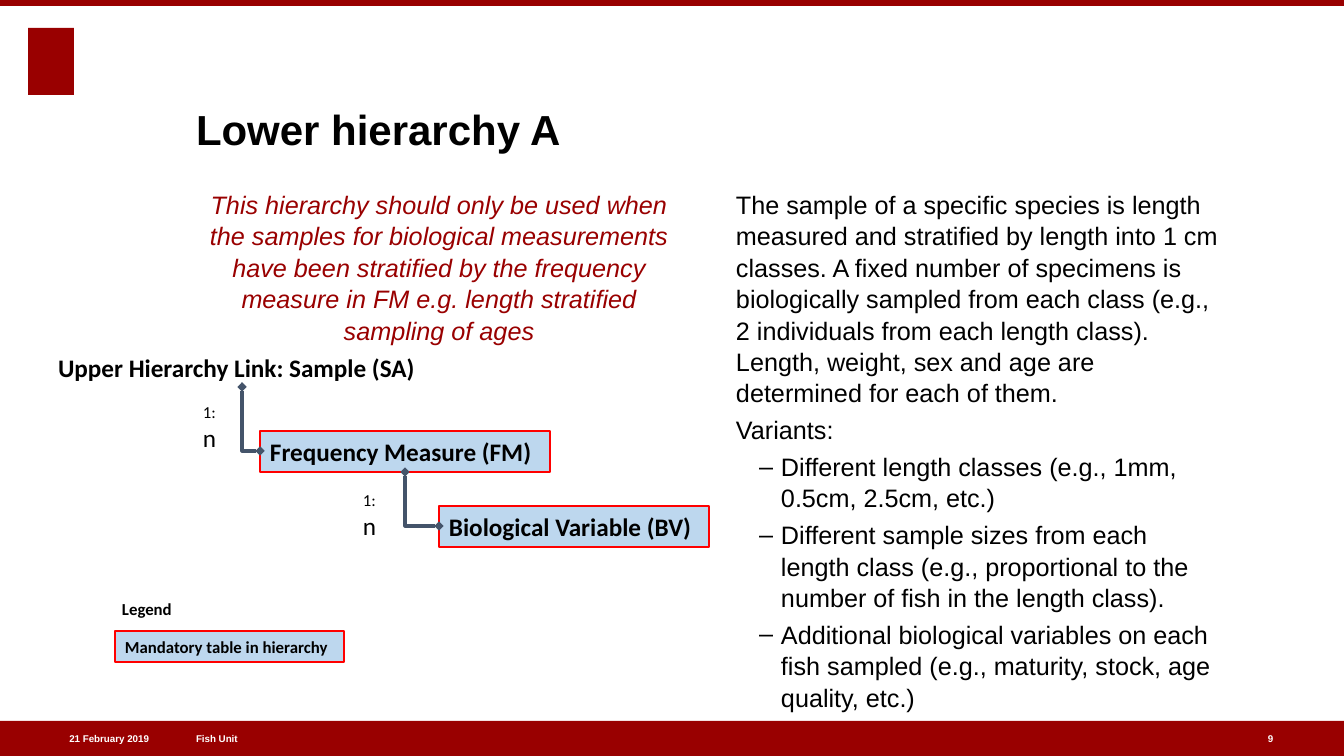
from lxml import etree
from pptx import Presentation
from pptx import util as u
from pptx.dml.color import RGBColor
from pptx.enum import shapes, text
from pptx.oxml.ns import qn

RED, BLACK, WHITE = "990000", "000000", "FFFFFF"
BOX_FILL, BOX_LINE, LINK = "BDD7EE", "FF0000", "44546A"
LEFT, CENTER, RIGHT = text.PP_ALIGN.LEFT, text.PP_ALIGN.CENTER, text.PP_ALIGN.RIGHT
TOP, MIDDLE, BOTTOM = text.MSO_ANCHOR.TOP, text.MSO_ANCHOR.MIDDLE, text.MSO_ANCHOR.BOTTOM

TITLE = "Lower hierarchy A"
ADVICE = ["This hierarchy should only be used when the samples for biological measurements "
          "have been stratified by the frequency measure in FM e.g. length stratified "
          "sampling of ages"]
SAMPLING = [
    "The sample of a specific species is length measured and stratified by length into "
    "1 cm classes. A fixed number of specimens is biologically sampled from each class "
    "(e.g., 2 individuals from each length class). Length, weight, sex and age are "
    "determined for each of them.",
    "Variants:",
]
VARIANTS = [
    "Different length classes (e.g., 1mm, 0.5cm, 2.5cm, etc.)",
    "Different sample sizes from each length class (e.g., proportional to the number of "
    "fish in the length class).",
    "Additional biological variables on each fish sampled (e.g., maturity, stock, age "
    "quality, etc.)",
]
BANDS = [(0, 721, 1344, 35), (0, 0, 1344, 6), (28, 28, 46, 67)]
FOOTER = [
    ("21 February 2019", (27, 721, 122, 35), RIGHT),
    ("Fish Unit", (196, 721, 375, 35), LEFT),
    ("9", (1268, 721, 47, 35), LEFT),
]
TABLES = [
    ("Biological Variable (BV)", (439, 506, 270, 41), 18),
    ("Frequency Measure (FM)", (260, 431, 290, 41), 18),
    ("Mandatory table in hierarchy", (115, 631, 229, 31), 12),
]
LABELS = [
    ("Upper Hierarchy Link: Sample (SA)", (48, 347, 386, 40), 18),
    ("Legend", (112, 593, 71, 31), 12),
]
LINKS = [(242, 387, 260, 451), (405, 472, 439, 526)]
RATIOS = [(193, 397, 45, 37), (353, 485, 45, 37)]
RATIO_RUNS = [("1:", 12), ("n", 18)]

prs = Presentation()
prs.slide_width, prs.slide_height = u.Inches(13.3333), u.Inches(7.5)
SCALE = prs.slide_height / 756
slide = prs.slides.add_slide(prs.slide_layouts[3])


def px(*values):
    return [round(v * SCALE) for v in values]


def rgb(color):
    return RGBColor.from_string(color)


def style(p, size, color, name="Arial", bold=False, italic=False, align=LEFT):
    p.alignment = align
    for r in p.runs:
        f = r.font
        f.size, f.name, f.bold, f.italic = u.Pt(size), name, bold, italic
        f.color.rgb = rgb(color)


def frame(sp, anchor, inset=0):
    tf = sp.text_frame
    tf.word_wrap, tf.auto_size, tf.vertical_anchor = True, text.MSO_AUTO_SIZE.NONE, anchor
    tf.margin_left = tf.margin_right = px(inset)[0]
    tf.margin_top = tf.margin_bottom = px(inset // 2)[0]
    return tf


def place(sp, box):
    sp.left, sp.top, sp.width, sp.height = px(*box)


def add_rect(box, fill, line=None):
    sp = slide.shapes.add_shape(shapes.MSO_SHAPE.RECTANGLE, *px(*box))
    sp.shadow.inherit = False
    sp.fill.solid()
    sp.fill.fore_color.rgb = rgb(fill)
    if line:
        sp.line.color.rgb = rgb(line)
        sp.line.width = u.Pt(1.5)
    else:
        sp.line.fill.background()
    return sp


def fill_body(sp, box, plain, dashed, **look):
    place(sp, box)
    tf = frame(sp, TOP)
    tf.text = "\n".join(plain + dashed)
    for i, p in enumerate(tf.paragraphs):
        style(p, 18, **look)
        p.line_spacing, p.space_before = 1.04, u.Pt(3.8)
        pPr = p._p.get_or_add_pPr()
        if i < len(plain):
            margin, indent = 0, 0
            etree.SubElement(pPr, qn("a:buNone"))
        else:
            p.level = 1
            margin, indent = px(45, -22)
            etree.SubElement(pPr, qn("a:buChar")).set("char", "–")
        pPr.set("marL", str(margin))
        pPr.set("indent", str(indent))


def add_link(x1, y1, x2, y2):
    link = slide.shapes.add_connector(shapes.MSO_CONNECTOR.ELBOW, *px(x1, y1, x2, y2))
    link.line.color.rgb = rgb(LINK)
    link.line.width = u.Pt(2.25)
    spPr = link._element.spPr
    spPr.find(qn("a:xfrm")).set("rot", "10800000")
    spPr.find(qn("a:prstGeom")).set("prst", "bentConnector2")
    for end in ("a:headEnd", "a:tailEnd"):
        etree.SubElement(spPr.find(qn("a:ln")), qn(end)).set("type", "diamond")
    etree.SubElement(spPr, qn("a:effectLst"))


for box in BANDS:
    add_rect(box, RED)

for words, box, align in FOOTER:
    tf = frame(slide.shapes.add_textbox(*px(*box)), MIDDLE)
    tf.text = words
    style(tf.paragraphs[0], 7, WHITE, bold=True, align=align)

title, advice, sampling = slide.placeholders
place(title, (196, 47, 1026, 107))
tf = frame(title, BOTTOM)
tf.text = TITLE
style(tf.paragraphs[0], 30, BLACK, bold=True)
fill_body(advice, (196, 188, 486, 501), ADVICE, [], color=RED, italic=True, align=CENTER)
fill_body(sampling, (736, 188, 486, 501), SAMPLING, VARIANTS, color=BLACK)

tables = [(add_rect(box, BOX_FILL, BOX_LINE), words, size) for words, box, size in TABLES]
labels = [(slide.shapes.add_textbox(*px(*box)), words, size) for words, box, size in LABELS]
for sp, words, size in tables + labels:
    tf = frame(sp, MIDDLE, 10)
    tf.text = words
    style(tf.paragraphs[0], size, BLACK, "Calibri", bold=True)

for link in LINKS:
    add_link(*link)

for box in RATIOS:
    p = frame(slide.shapes.add_textbox(*px(*box)), TOP, 10).paragraphs[0]
    for words, size in RATIO_RUNS:
        p.add_run().text = words
    style(p, 18, BLACK, "Calibri")
    for r, (words, size) in zip(p.runs, RATIO_RUNS):
        r.font.size = u.Pt(size)

prs.save("out.pptx")
